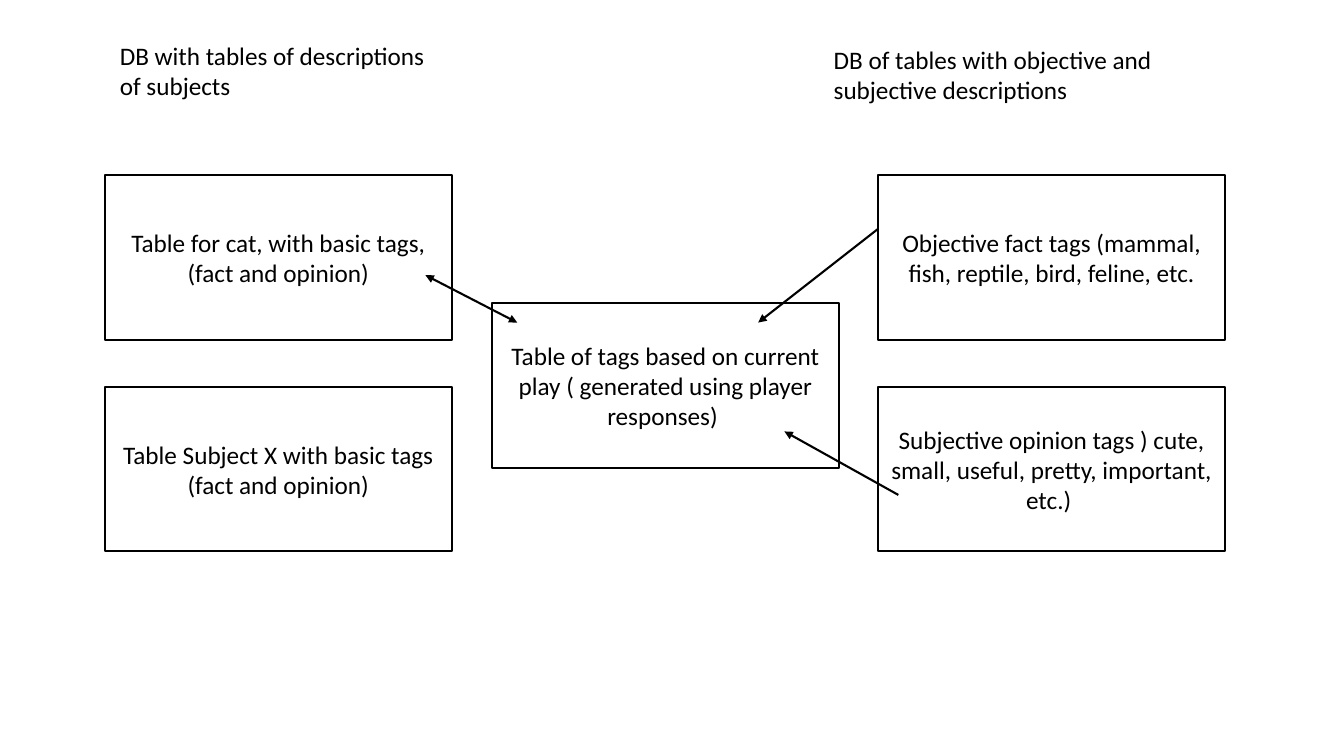
"""Build a slide of tag tables linked to the table for the current play."""
from lxml import etree
from pptx import Presentation
from pptx import util as u
from pptx.dml.color import RGBColor
from pptx.enum import shapes, text
from pptx.oxml.ns import qn


def paint(color, value):
    color.rgb = RGBColor.from_string(value)


def write(frame, words, align):
    frame.word_wrap = True
    para = frame.paragraphs[0]
    para.text = words
    para.alignment = align
    para.font.size = u.Pt(18)
    para.font.name = "Calibri"
    paint(para.font.color, "000000")


deck = Presentation()
deck.slide_width, deck.slide_height = u.Inches(13.33), u.Inches(7.5)
slide = deck.slides.add_slide(deck.slide_layouts[6])

heads = [
    (1.09, 0.35, "DB with tables of descriptions of subjects"),
    (8.17, 0.39, "DB of tables with objective and subjective descriptions"),
]
for left, top, words in heads:
    head = slide.shapes.add_textbox(
        u.Inches(left), u.Inches(top), u.Inches(3.39), u.Inches(0.71))
    write(head.text_frame, words, text.PP_ALIGN.LEFT)
    head.text_frame.auto_size = text.MSO_AUTO_SIZE.SHAPE_TO_FIT_TEXT

west, mid, east = 1.04, 4.88, 8.71
upper, lower = 1.74, 3.84
tables = [
    (west, upper, "Table for cat, with basic tags, (fact and opinion)"),
    (west, lower, "Table Subject X with basic tags (fact and opinion)"),
    (east, upper, "Objective fact tags (mammal, fish, reptile, bird, feline, etc."),
    (east, lower, "Subjective opinion tags ) cute, small, useful, pretty, important, etc.) "),
    (mid, 3.01, "Table of tags based on current play ( generated using player responses) "),
]
for left, top, words in tables:
    box = slide.shapes.add_shape(
        shapes.MSO_SHAPE.RECTANGLE,
        u.Inches(left), u.Inches(top), u.Inches(3.44), u.Inches(1.63))
    box.shadow.inherit = False
    box.fill.solid()
    paint(box.fill.fore_color, "FFFFFF")
    paint(box.line.color, "000000")
    box.line.width = u.Pt(1.5)
    box.text_frame.vertical_anchor = text.MSO_ANCHOR.MIDDLE
    write(box.text_frame, words, text.PP_ALIGN.CENTER)

links = [
    ((east, 2.27, 7.52, 3.2), ["tailEnd"]),
    ((8.91, 4.91, 7.78, 4.28), ["tailEnd"]),
    ((5.13, 3.2, 4.22, 2.73), ["headEnd", "tailEnd"]),
]
for ends, tips in links:
    link = slide.shapes.add_connector(
        shapes.MSO_CONNECTOR.STRAIGHT, *map(u.Inches, ends))
    paint(link.line.color, "000000")
    link.line.width = u.Pt(1.5)
    for tip in tips:
        etree.SubElement(link.line._get_or_add_ln(), qn("a:" + tip), type="triangle")
    etree.SubElement(link._element.spPr, qn("a:effectLst"))

deck.save("out.pptx")
